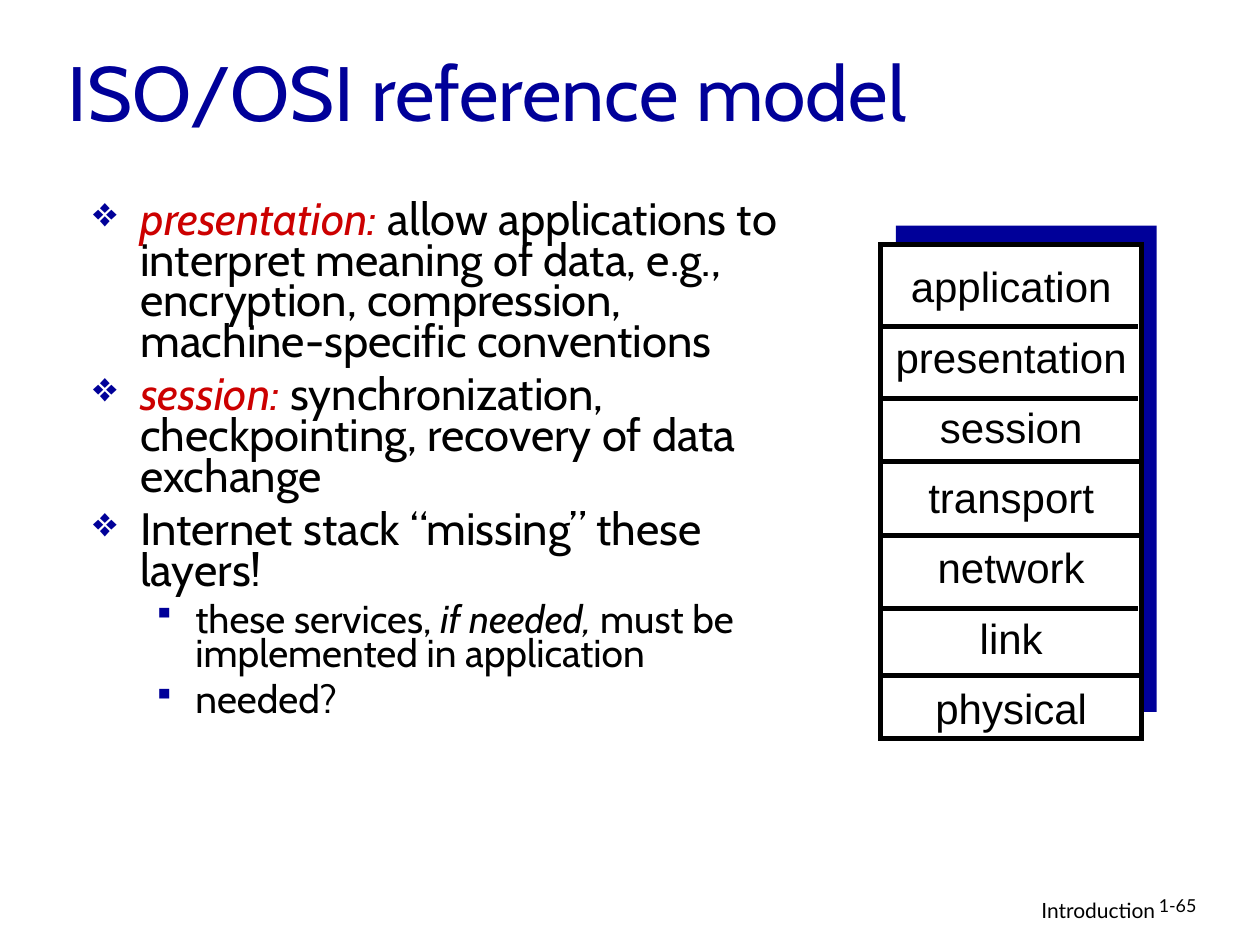
from dataclasses import dataclass

from lxml.etree import SubElement
from pptx import Presentation
from pptx.dml.color import RGBColor
from pptx.enum.shapes import MSO_CONNECTOR, MSO_SHAPE
from pptx.enum.text import MSO_ANCHOR, PP_ALIGN
from pptx.oxml.ns import qn
from pptx.util import Cm, Pt


@dataclass(frozen=True)
class Theme:
    navy: str = "000099"
    red: str = "CC0000"
    black: str = "000000"
    white: str = "FFFFFF"
    heading_font: str = "Cabin"
    layer_font: str = "Arial"
    footer_font: str = "Lato"
    title_size: float = 44
    point_size: float = 25.9
    subpoint_size: float = 22.2
    layer_size: float = 24
    footer_size: float = 12
    number_size: float = 10.2
    rule_width: float = 3


class SlideBuilder:
    def __init__(self, slide, theme):
        self.slide = slide
        self.theme = theme

    def text_frame(self, left, top, width, height, anchor=MSO_ANCHOR.TOP):
        box = self.slide.shapes.add_textbox(Cm(left), Cm(top), Cm(width), Cm(height))
        frame = box.text_frame
        frame.word_wrap = True
        frame.vertical_anchor = anchor
        return frame

    def paragraph(self, frame, runs, font, size, align=PP_ALIGN.LEFT,
                  line_spacing=1.0, space_before=0):
        """Fill the empty first paragraph or add one; runs are (text, colour, italic)."""
        first = frame.paragraphs[0]
        paragraph = frame.add_paragraph() if first.runs else first
        paragraph.alignment = align
        paragraph.line_spacing = line_spacing
        paragraph.space_before = Pt(space_before)
        for text, color, italic in runs:
            run = paragraph.add_run()
            run.text = text
            run.font.name = font
            run.font.size = Pt(size)
            run.font.italic = italic
            run.font.color.rgb = RGBColor.from_string(color)
        return paragraph

    def bullet(self, frame, runs, level):
        theme = self.theme
        size, before, indent, hanging, mark, percent = (
            (theme.point_size, 7, 0.95, 0.95, "❖", 92),
            (theme.subpoint_size, 6, 2.06, 0.85, "▪", 77),
        )[level]
        paragraph = self.paragraph(frame, runs, theme.heading_font, size,
                                   line_spacing=0.75, space_before=before)
        paragraph.level = level
        properties = paragraph._p.get_or_add_pPr()
        properties.set("marL", str(Cm(indent)))
        properties.set("indent", str(-Cm(hanging)))
        color = SubElement(properties, qn("a:buClr"))
        SubElement(color, qn("a:srgbClr"), val=theme.navy)
        SubElement(properties, qn("a:buSzPct"), val=str(percent * 1000))
        SubElement(properties, qn("a:buChar"), char=mark)

    def rectangle(self, left, top, width, height, fill, outline=None):
        shape = self.slide.shapes.add_shape(
            MSO_SHAPE.RECTANGLE, Cm(left), Cm(top), Cm(width), Cm(height))
        shape.shadow.inherit = False
        shape.fill.solid()
        shape.fill.fore_color.rgb = RGBColor.from_string(fill)
        if outline:
            shape.line.color.rgb = RGBColor.from_string(outline)
            shape.line.width = Pt(self.theme.rule_width)
            border = shape._element.spPr.find(qn("a:ln"))
            SubElement(border, qn("a:miter"), lim="800000")
        else:
            shape.line.fill.background()

    def divider(self, left, top, width):
        line = self.slide.shapes.add_connector(
            MSO_CONNECTOR.STRAIGHT, Cm(left), Cm(top), Cm(left + width), Cm(top))
        line.line.color.rgb = RGBColor.from_string(self.theme.black)
        line.line.width = Pt(self.theme.rule_width)
        SubElement(line._element.spPr, qn("a:effectLst"))


def main():
    theme = Theme()
    deck = Presentation()
    deck.slide_width, deck.slide_height = Cm(25.4), Cm(19.05)
    builder = SlideBuilder(deck.slides.add_slide(deck.slide_layouts[6]), theme)

    def plain(text):
        return text, theme.black, False

    footer = builder.text_frame(15.49, 17.96, 8.05, 0.79)
    builder.paragraph(footer, [plain("Introduction")], theme.footer_font,
                      theme.footer_size, PP_ALIGN.RIGHT)

    builder.rectangle(18.06, 4.55, 5.26, 9.8, theme.navy)

    title = builder.text_frame(1.12, 0.23, 18.06, 3.18, MSO_ANCHOR.MIDDLE)
    builder.paragraph(title, [("ISO/OSI reference model", theme.navy, False)],
                      theme.heading_font, theme.title_size)

    points = [
        (0, [("presentation:", theme.red, True),
             plain(" allow applications to interpret meaning of data, e.g., "
                   "encryption, compression, machine-specific conventions")]),
        (0, [("session:", theme.red, True),
             plain(" synchronization, checkpointing, recovery of data exchange")]),
        (0, [plain("Internet stack “missing” these layers!")]),
        (1, [plain("these services, "), ("if needed,", theme.black, True),
             plain(" must be implemented in application")]),
        (1, [plain("needed?")]),
    ]
    body = builder.text_frame(1.63, 3.96, 14.33, 12.9)
    for level, runs in points:
        builder.bullet(body, runs, level)

    builder.rectangle(17.75, 4.93, 5.26, 9.96, theme.white, theme.black)
    layers = ["application", "presentation", "session", "transport",
              "network", "link", "physical"]
    stack = builder.text_frame(17.63, 5.41, 5.51, 9.5)
    for index, layer in enumerate(layers):
        builder.paragraph(stack, [plain(layer)], theme.layer_font, theme.layer_size,
                          PP_ALIGN.CENTER, line_spacing=0.7,
                          space_before=20 if index else 0)

    for left, tops in ((17.7, (6.58, 8.03, 12.27)), (17.74, (9.3, 10.8, 13.61))):
        for top in tops:
            builder.divider(left, top, 5.24)

    number = builder.text_frame(23.11, 17.96, 1.88, 0.76)
    builder.paragraph(number, [plain("1-65")], theme.footer_font,
                      theme.number_size, line_spacing=0.9)

    deck.save("out.pptx")


if __name__ == "__main__":
    main()
